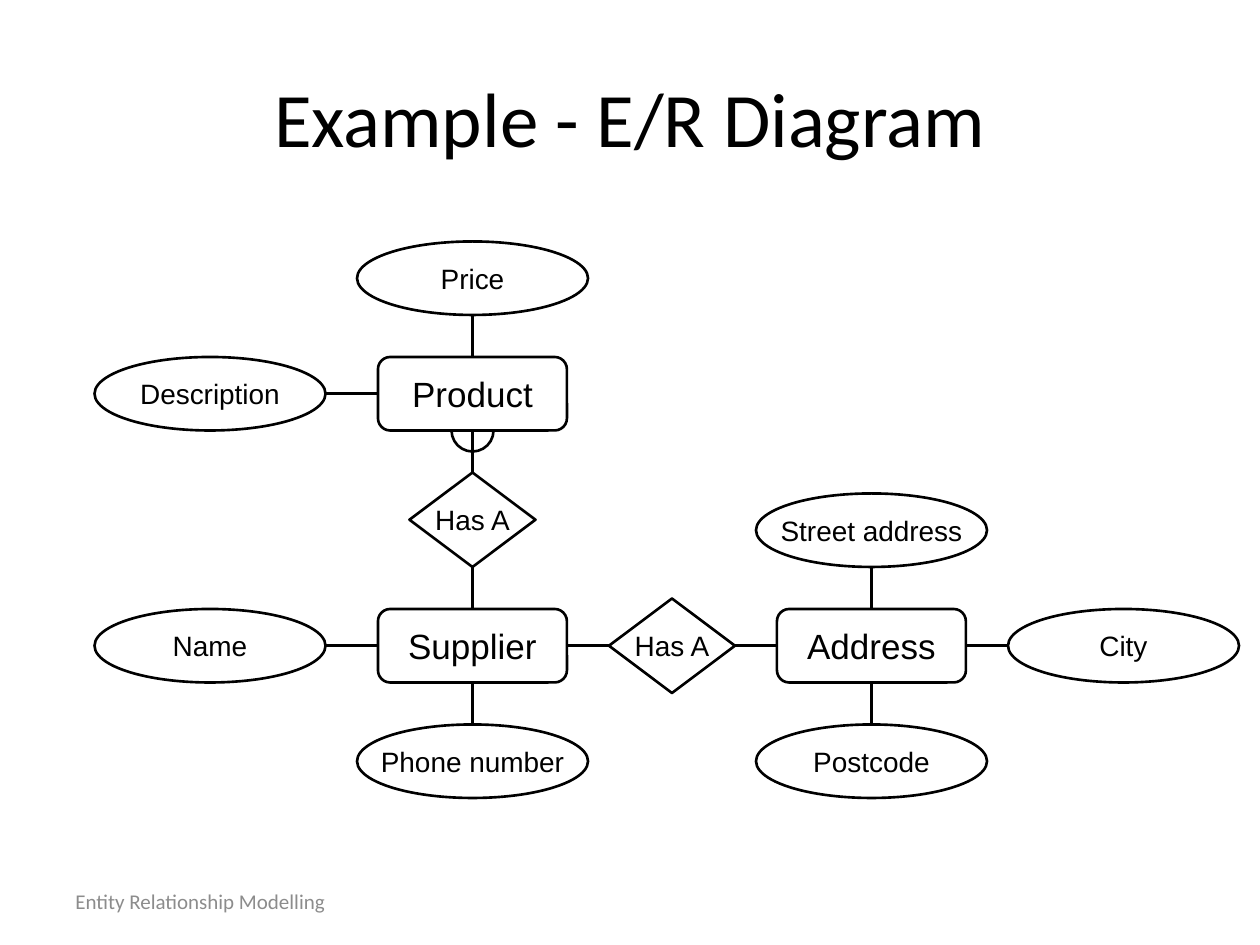
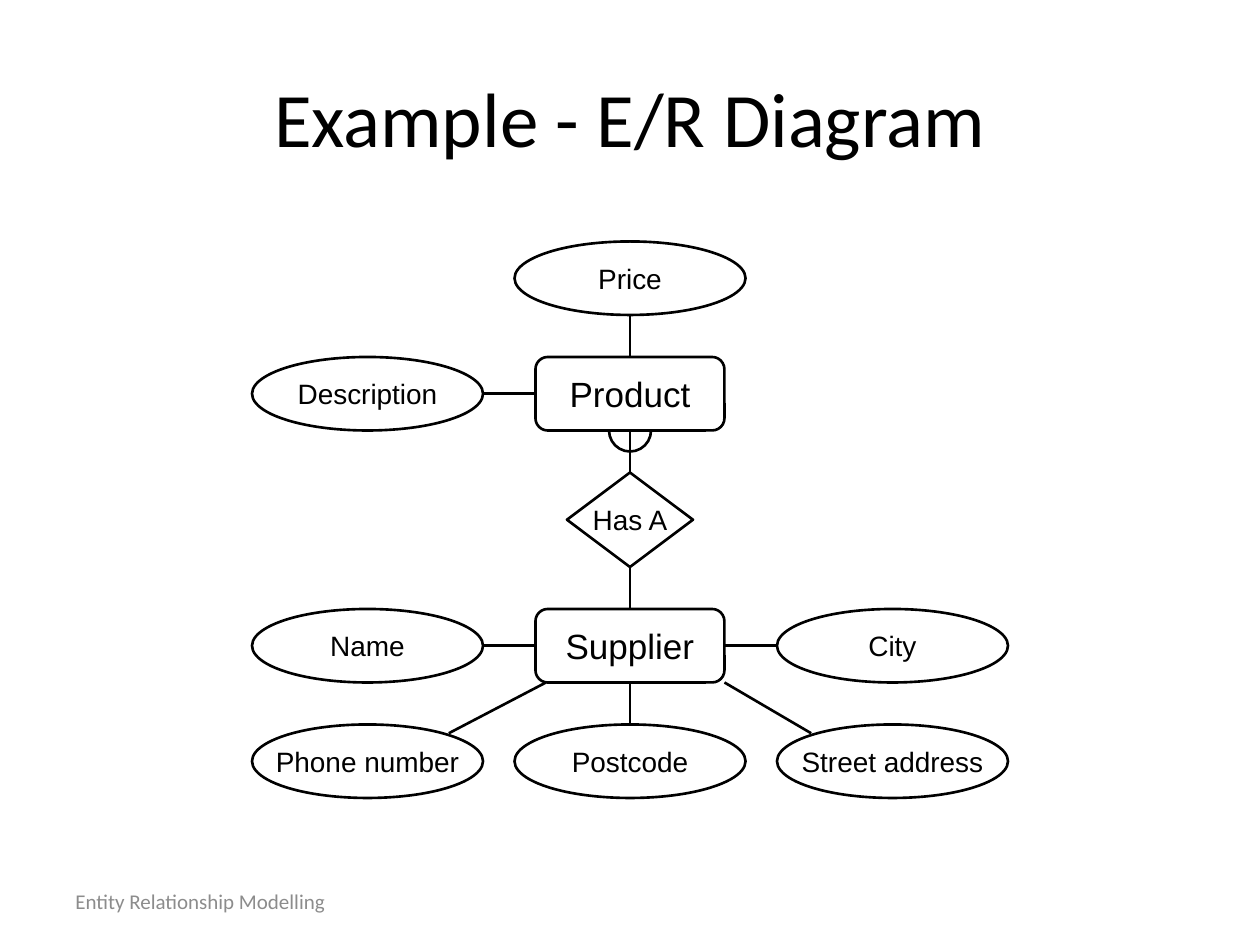
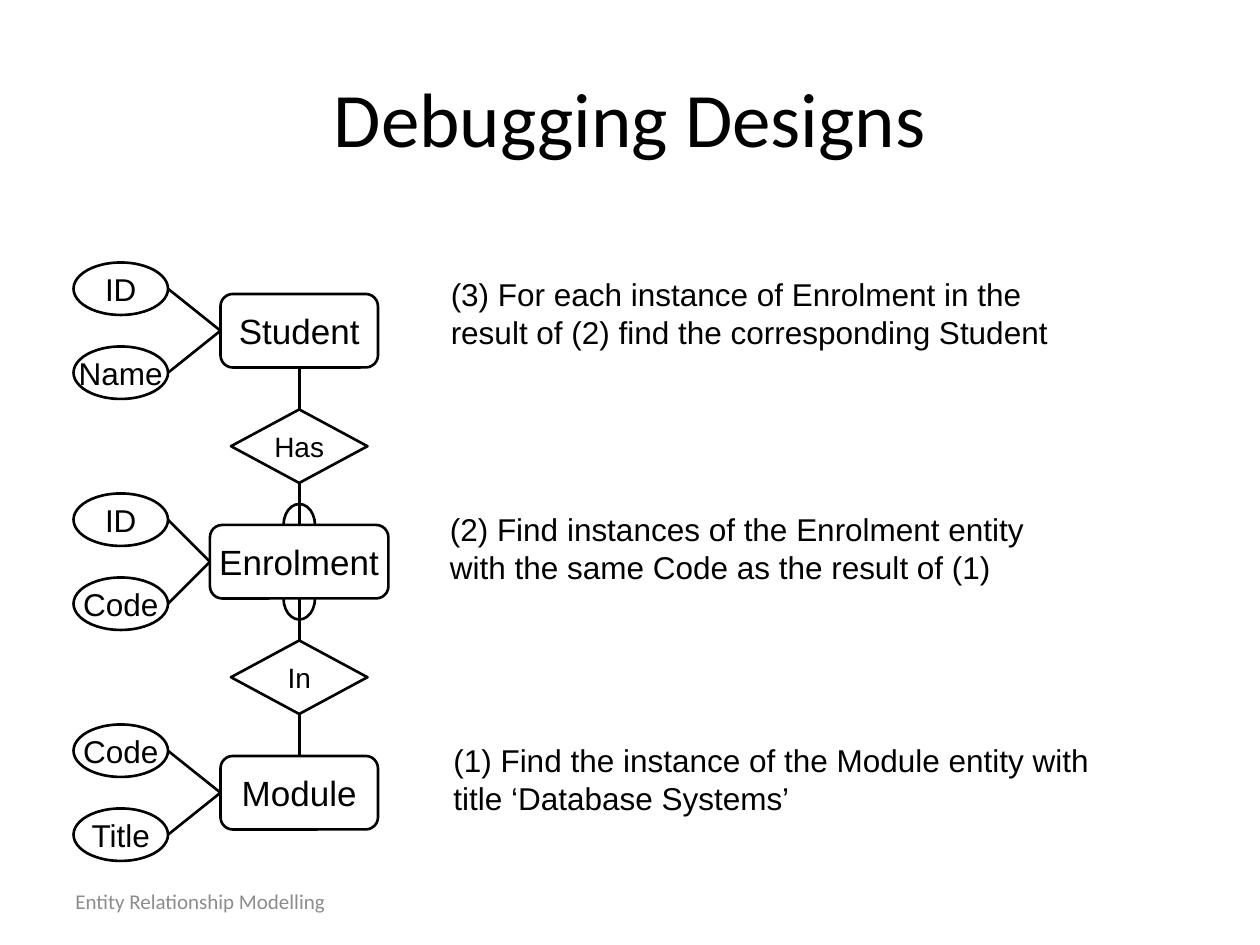
from dataclasses import dataclass
from typing import NamedTuple

from lxml.etree import SubElement
from pptx import Presentation
from pptx.dml.color import RGBColor
from pptx.enum.shapes import MSO_CONNECTOR as Connector, MSO_SHAPE as Preset
from pptx.enum.text import MSO_ANCHOR as Anchor, PP_ALIGN as Align
from pptx.oxml.ns import qn
from pptx.util import Pt

# Shared look
INK, FOOTER_GREY = "000000", "8C8C8C"
HEADING_FONT, DIAGRAM_FONT = "Calibri", "Arial"
LINE_WIDTH = 1.5
FOOTER = "Entity Relationship Modelling"
TOP, LEFT, BOTTOM, RIGHT = range(4)
HALF_TURN = 108  # 180 degrees in the arc's adjustment units


@dataclass(frozen=True)
class Kind:
    preset: Preset
    width: float
    height: float
    font_size: float


@dataclass(frozen=True)
class Node:
    label: str
    kind: Kind
    x: float  # centre
    y: float

    def side(self, index: int) -> tuple[float, float]:
        """Middle of one side."""
        half_w, half_h = self.kind.width / 2, self.kind.height / 2
        dx, dy = ((0, -half_h), (-half_w, 0), (0, half_h), (half_w, 0))[index]
        return self.x + dx, self.y + dy


class Link(NamedTuple):
    start: Node
    end: Node


class ManyMark(NamedTuple):
    """Half circle where the 'many' end of a link meets an entity."""
    entity: Node
    side: int
    width: float


class Note(NamedTuple):
    lines: list[str]
    x: float
    y: float
    width: float


ENTITY = Kind(Preset.ROUNDED_RECTANGLE, 108, 42, 20)
ATTRIBUTE = Kind(Preset.OVAL, 132, 42, 16)
RELATION = Kind(Preset.DIAMOND, 72, 54, 16)
SMALL_ENTITY = Kind(Preset.ROUNDED_RECTANGLE, 90, 42, 20)
WIDE_ENTITY = Kind(Preset.ROUNDED_RECTANGLE, 102, 42, 20)
SMALL_ATTRIBUTE = Kind(Preset.OVAL, 54, 30, 18)
FLAT_RELATION = Kind(Preset.DIAMOND, 78, 42, 16)


def rgb(hex_colour: str) -> RGBColor:
    return RGBColor.from_string(hex_colour)


def style_text(paragraph, font: str, size: float, colour: str = INK, align=Align.LEFT) -> None:
    paragraph.alignment = align
    paragraph.font.name = font
    paragraph.font.size = Pt(size)
    paragraph.font.color.rgb = rgb(colour)


def style_line(line) -> None:
    line.color.rgb = rgb(INK)
    line.width = Pt(LINE_WIDTH)


def add_outline(slide, preset, x: float, y: float, width: float, height: float):
    """Unfilled shape centred on (x, y)."""
    shape = slide.shapes.add_shape(
        preset, Pt(x - width / 2), Pt(y - height / 2), Pt(width), Pt(height))
    shape.shadow.inherit = False
    shape.fill.background()
    style_line(shape.line)
    return shape


def add_node(slide, node: Node):
    kind = node.kind
    shape = add_outline(slide, kind.preset, node.x, node.y, kind.width, kind.height)
    frame = shape.text_frame
    frame.word_wrap = False
    frame.vertical_anchor = Anchor.MIDDLE
    frame.text = node.label
    style_text(frame.paragraphs[0], DIAGRAM_FONT, kind.font_size, align=Align.CENTER)
    return shape


def add_line(slide, start: tuple[float, float], end: tuple[float, float]):
    line = slide.shapes.add_connector(Connector.STRAIGHT, *map(Pt, start + end))
    style_line(line.line)
    SubElement(line._element.spPr, qn("a:effectLst"))
    return line


def facing_sides(link: Link) -> tuple[int, int]:
    start, end = link
    if start.x == end.x:
        return (BOTTOM, TOP) if start.y < end.y else (TOP, BOTTOM)
    return (RIGHT, LEFT) if start.x < end.x else (LEFT, RIGHT)


def add_link(slide, link: Link, shapes: dict) -> None:
    start_side, end_side = facing_sides(link)
    line = add_line(slide, link.start.side(start_side), link.end.side(end_side))
    # Ovals number their joints differently, so only the other shapes are joined
    if link.start.kind.preset != Preset.OVAL:
        line.begin_connect(shapes[link.start], start_side)
    if link.end.kind.preset != Preset.OVAL:
        line.end_connect(shapes[link.end], end_side)


def add_many_mark(slide, mark: ManyMark) -> None:
    arc = add_outline(slide, Preset.ARC, *mark.entity.side(mark.side), mark.width, 24)
    angles = (0, HALF_TURN) if mark.side == BOTTOM else (HALF_TURN, 0)
    arc.adjustments[0], arc.adjustments[1] = angles


def add_diagram(slide, links: list[Link], marks: list[ManyMark], loose: tuple = ()) -> None:
    nodes = dict.fromkeys([node for link in links for node in link] + list(loose))
    shapes = {node: add_node(slide, node) for node in nodes}
    for link in links:
        add_link(slide, link, shapes)
    for mark in marks:
        add_many_mark(slide, mark)


def add_text(slide, lines: list[str], box: tuple, font: str, size: float,
             colour: str = INK, anchor=Anchor.TOP) -> None:
    frame = slide.shapes.add_textbox(*map(Pt, box)).text_frame
    frame.word_wrap = True
    frame.vertical_anchor = anchor
    frame.text = "\n".join(lines)
    for paragraph in frame.paragraphs:
        style_text(paragraph, font, size, colour)


def add_slide(deck, heading: str):
    slide = deck.slides.add_slide(deck.slide_layouts[5])
    title = slide.shapes.title
    title.left, title.top, title.width, title.height = map(Pt, (36, 21.6, 648, 90))
    title.text_frame.text = heading
    title.text_frame.vertical_anchor = Anchor.MIDDLE
    style_text(title.text_frame.paragraphs[0], HEADING_FONT, 44, align=Align.CENTER)
    add_text(slide, [FOOTER], (36, 500.5, 168, 28.75), HEADING_FONT, 12,
             FOOTER_GREY, Anchor.MIDDLE)
    return slide


def product_column(x: float) -> tuple[Node, list[Link], list[ManyMark]]:
    """Product over Supplier, with the attributes both examples share."""
    product = Node("Product", ENTITY, x, 225)
    supplier = Node("Supplier", ENTITY, x, 369)
    has_a = Node("Has A", RELATION, x, 297)
    links = [
        Link(product, Node("Price", ATTRIBUTE, x, 159)),
        Link(product, Node("Description", ATTRIBUTE, x - 150, product.y)),
        Link(has_a, product),
        Link(has_a, supplier),
        Link(supplier, Node("Name", ATTRIBUTE, x - 150, supplier.y)),
    ]
    return supplier, links, [ManyMark(product, BOTTOM, 24)]


def address_entity_slide(deck) -> None:
    slide = add_slide(deck, "Example - E/R Diagram")
    supplier, links, marks = product_column(270)
    address = Node("Address", ENTITY, 498, supplier.y)
    has_a = Node("Has A", RELATION, 384, supplier.y)
    links += [
        Link(supplier, Node("Phone number", ATTRIBUTE, supplier.x, 435)),
        Link(has_a, supplier),
        Link(has_a, address),
        Link(address, Node("Street address", ATTRIBUTE, address.x, 303)),
        Link(address, Node("City", ATTRIBUTE, 642, address.y)),
        Link(address, Node("Postcode", ATTRIBUTE, address.x, 435)),
    ]
    add_diagram(slide, links, marks)


def address_attributes_slide(deck) -> None:
    slide = add_slide(deck, "Example - E/R Diagram")
    supplier, links, marks = product_column(360)
    phone = Node("Phone number", ATTRIBUTE, 210, 435)
    street = Node("Street address", ATTRIBUTE, 510, 435)
    links += [
        Link(supplier, Node("City", ATTRIBUTE, street.x, supplier.y)),
        Link(supplier, Node("Postcode", ATTRIBUTE, supplier.x, 435)),
    ]
    add_diagram(slide, links, marks, (phone, street))
    # Slanted links from the lower corners of Supplier
    add_line(slide, (312, 390), (256.5, 419))
    add_line(slide, (414, 390), (463.5, 419))


def debugging_slide(deck) -> None:
    slide = add_slide(deck, "Debugging Designs")
    x = 171
    student = Node("Student", SMALL_ENTITY, x, 189)
    has = Node("Has", FLAT_RELATION, x, 255)
    enrolment = Node("Enrolment", WIDE_ENTITY, x, 321)
    in_module = Node("In", FLAT_RELATION, x, 387)
    module = Node("Module", SMALL_ENTITY, x, 453)
    column = [student, has, enrolment, in_module, module]
    links = [Link(upper, lower) for upper, lower in zip(column, column[1:])]
    attributes = {student: ("ID", "Name"), enrolment: ("ID", "Code"),
                  module: ("Code", "Title")}
    for entity, labels in attributes.items():
        for label, offset in zip(labels, (-24, 24)):
            links.append(Link(Node(label, SMALL_ATTRIBUTE, 69, entity.y + offset), entity))
    add_diagram(slide, links, [ManyMark(enrolment, side, 18) for side in (BOTTOM, TOP)])

    # Steps of the query, read from the bottom up
    steps = [
        Note(["(1) Find the instance of the Module entity with title ‘Database Systems’"],
             252, 420, 390),
        Note(["(2) Find instances of the Enrolment entity",
              "with the same Code as the result of (1)"], 250, 288, 452),
        Note(["(3) For each instance of Enrolment in the",
              "result of (2) find the corresponding Student"], 250.5, 153.5, 469),
    ]
    for step in steps:
        add_text(slide, step.lines, (step.x, step.y, step.width, 65), DIAGRAM_FONT, 18)


def main() -> None:
    deck = Presentation()
    deck.slide_width, deck.slide_height = Pt(720), Pt(540)
    address_entity_slide(deck)
    address_attributes_slide(deck)
    debugging_slide(deck)
    deck.save("out.pptx")


if __name__ == "__main__":
    main()
